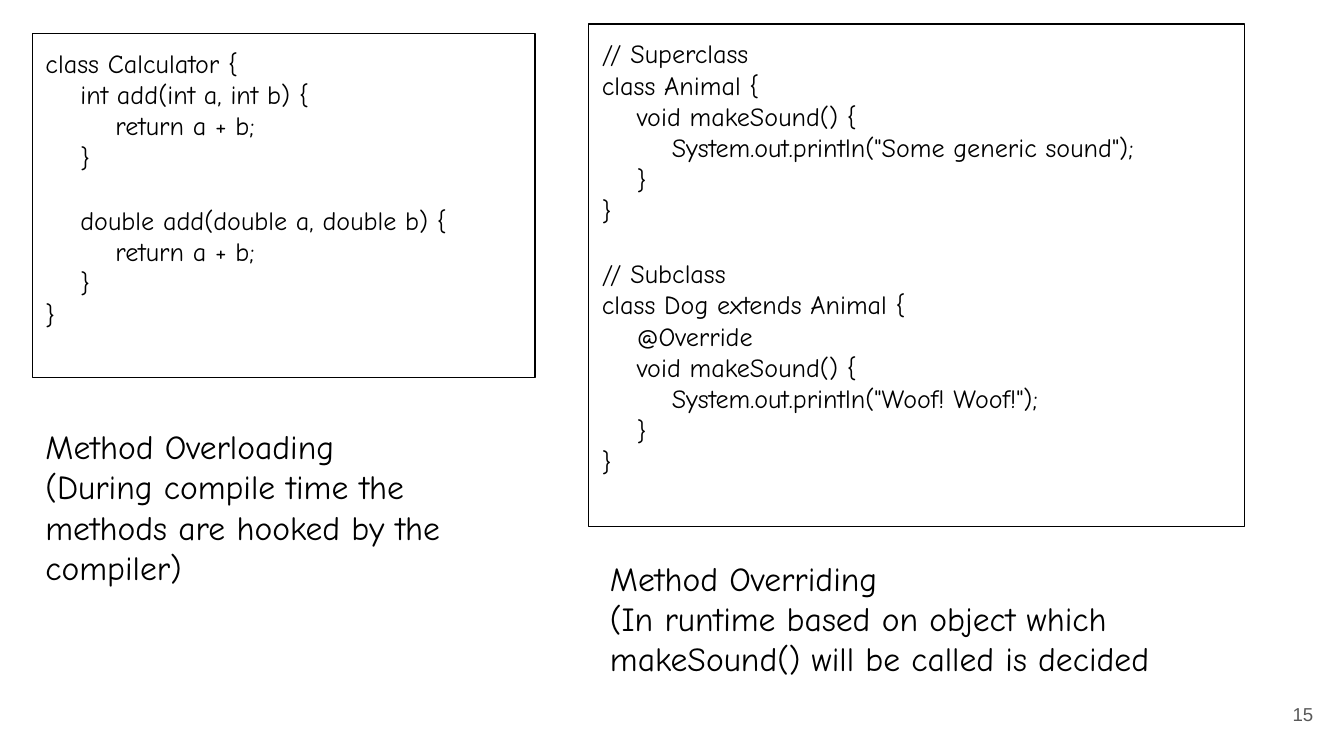
from dataclasses import dataclass

from pptx import Presentation
from pptx.dml.color import RGBColor
from pptx.enum.shapes import MSO_SHAPE as Shape
from pptx.enum.text import MSO_ANCHOR as Anchor, PP_ALIGN as Align
from pptx.util import Inches, Pt

CALCULATOR = """class Calculator {
    int add(int a, int b) {
        return a + b;
    }

    double add(double a, double b) {
        return a + b;
    }
}"""

ANIMALS = """// Superclass
class Animal {
    void makeSound() {
        System.out.println("Some generic sound");
    }
}

// Subclass
class Dog extends Animal {
    @Override
    void makeSound() {
        System.out.println("Woof! Woof!");
    }
}"""

OVERLOADING = """Method Overloading
(During compile time the methods are hooked by the compiler)"""

OVERRIDING = """Method Overriding
(In runtime based on object which makeSound() will be called is decided"""


@dataclass(frozen=True)
class Theme:
    ink: str = "000000"
    muted: str = "595959"
    paper: str = "FFFFFF"
    font: str = "Comic Neue"
    number_font: str = "Arial"
    code_size: int = 14
    caption_size: int = 18
    number_size: int = 10
    code_gap: float = 16.8
    indent: float = 0.26
    inset: float = 0.1
    line_width: float = 0.75


def write(frame, text, *, font, size, color, align=Align.LEFT,
          anchor=Anchor.TOP, inset=0.1, indent=0.26, gap=0):
    frame.word_wrap = True
    frame.vertical_anchor = anchor
    frame.margin_left = frame.margin_right = Inches(inset)
    frame.margin_top = frame.margin_bottom = Inches(inset)
    paragraph = frame.paragraphs[0]
    after_blank = False
    for number, line in enumerate(text.split("\n")):
        if not line:
            after_blank = True
            continue
        if number:
            paragraph = frame.add_paragraph()
        content = line.lstrip()
        level = (len(line) - len(content)) // 4
        properties = paragraph._p.get_or_add_pPr()
        properties.set("marL", str(Inches(indent * level)))
        properties.set("indent", "0")
        paragraph.alignment = align
        paragraph.space_before = Pt(gap if after_blank else 0)
        after_blank = False
        run = paragraph.add_run()
        run.text = content
        run.font.name = font
        run.font.size = Pt(size)
        run.font.color.rgb = RGBColor.from_string(color)


class Deck:
    columns = 100
    rows = 56.25

    def __init__(self, theme):
        self.theme = theme
        self.presentation = Presentation()
        self.presentation.slide_width = Inches(10)
        self.presentation.slide_height = Inches(10 * 9 / 16)
        self.slide = None

    def add_slide(self):
        self.slide = self.presentation.slides.add_slide(self.presentation.slide_layouts[6])
        fill = self.slide.background.fill
        fill.solid()
        fill.fore_color.rgb = RGBColor.from_string(self.theme.paper)

    def place(self, column, row, width, height):
        across = self.presentation.slide_width / self.columns
        down = self.presentation.slide_height / self.rows
        return (round(column * across), round(row * down),
                round(width * across), round(height * down))

    def code_box(self, text, *cell):
        theme = self.theme
        shape = self.slide.shapes.add_shape(Shape.RECTANGLE, *self.place(*cell))
        shape.shadow.inherit = False
        shape.fill.background()
        shape.line.color.rgb = RGBColor.from_string(theme.ink)
        shape.line.width = Pt(theme.line_width)
        write(shape.text_frame, text, font=theme.font, size=theme.code_size,
              color=theme.ink, inset=theme.inset, indent=theme.indent, gap=theme.code_gap)

    def caption(self, text, *cell):
        theme = self.theme
        shape = self.slide.shapes.add_textbox(*self.place(*cell))
        write(shape.text_frame, text, font=theme.font, size=theme.caption_size,
              color=theme.ink, inset=theme.inset)

    def page_number(self, text, *cell):
        theme = self.theme
        shape = self.slide.shapes.add_textbox(*self.place(*cell))
        write(shape.text_frame, text, font=theme.number_font, size=theme.number_size,
              color=theme.muted, align=Align.RIGHT, anchor=Anchor.MIDDLE, inset=theme.inset)

    def save(self):
        self.presentation.save("out.pptx")


def main():
    deck = Deck(Theme())
    deck.add_slide()
    deck.page_number("15", 92.7, 51, 6, 4.3)
    deck.code_box(CALCULATOR, 2.4, 2.5, 37.4, 25.6)
    deck.code_box(ANIMALS, 43.8, 1.8, 48.8, 37.4)
    deck.caption(OVERLOADING, 2.4, 30.7, 37.4, 4.3)
    deck.caption(OVERRIDING, 44.4, 40.5, 48.8, 4.3)
    deck.save()


if __name__ == "__main__":
    main()
